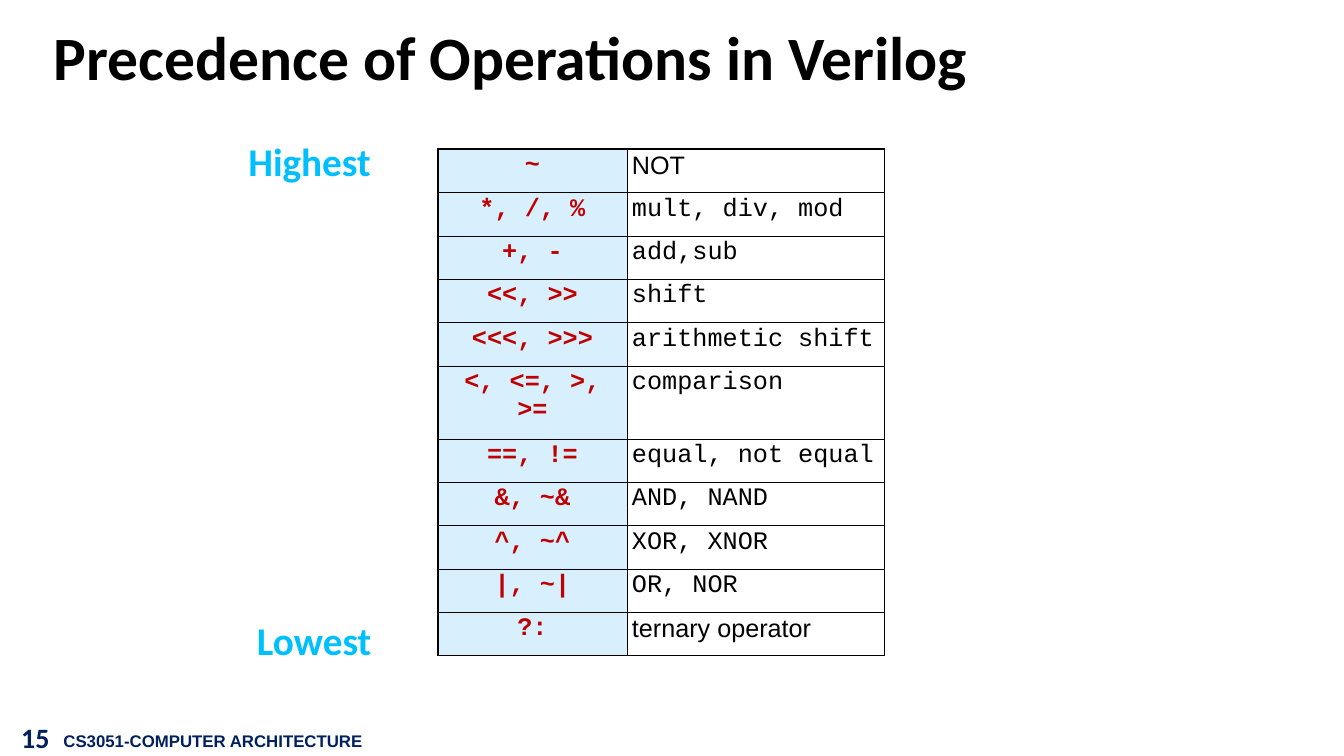
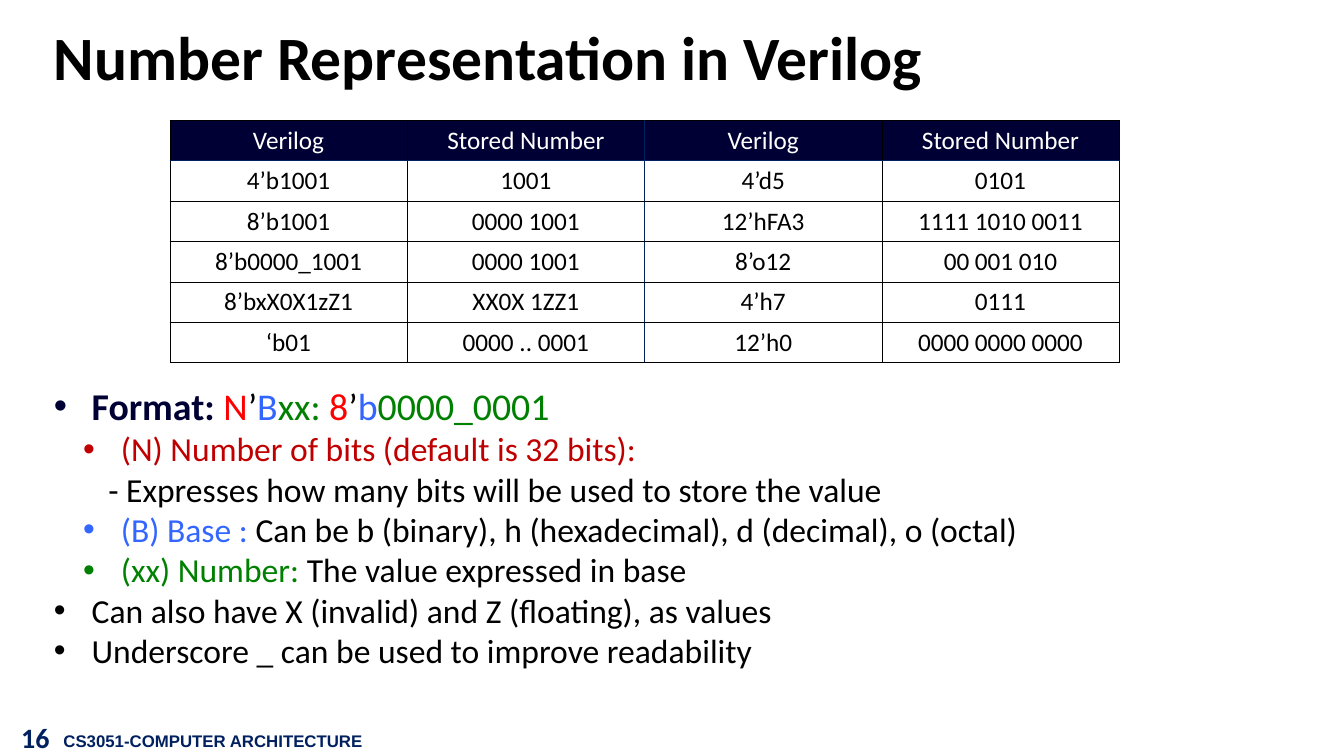
from pptx import Presentation
from pptx.dml.color import RGBColor
from pptx.enum.text import MSO_ANCHOR, PP_ALIGN
from pptx.oxml.ns import qn
from pptx.util import Inches, Pt
from lxml import etree

LEFT, MID, RIGHT = PP_ALIGN.LEFT, PP_ALIGN.CENTER, PP_ALIGN.RIGHT
TOP, CENTER = MSO_ANCHOR.TOP, MSO_ANCHOR.MIDDLE

BLACK, WHITE, NAVY, INK = "000000", "FFFFFF", "002060", "000034"
CRIMSON, RED, BLUE, GREEN = "C00000", "FF0000", "3366FF", "008000"
SKY, PALE = "00BFFF", "B8E5FE"
SANS, MONO, BODY = "Arial", "Courier New", "Calibri"

COURSE = "CS3051-COMPUTER ARCHITECTURE"

OPS = [
    ("~", "NOT", SANS),
    ("*, /, %", "mult, div, mod", MONO),
    ("+, -", "add,sub", MONO),
    ("<<, >>", "shift", MONO),
    ("<<<, >>>", "arithmetic shift", MONO),
    ("<, <=, >, >=", "comparison", MONO),
    ("==, !=", "equal, not equal", MONO),
    ("&, ~&", "AND, NAND", MONO),
    ("^, ~^", "XOR, XNOR", MONO),
    ("|, ~|", "OR, NOR", MONO),
    ("?:", "ternary operator", SANS),
]
TALL = "<, <=, >, >="
RANKS = [("Highest", 4.83, 2.67), ("Lowest", 5, 12.17)]

NUMBERS = [
    ("Verilog", "Stored Number", "Verilog", "Stored Number"),
    ("4’b1001", "1001", "4’d5", "0101"),
    ("8’b1001", "0000 1001", "12’hFA3", "1111 1010 0011"),
    ("8’b0000_1001", "0000 1001", "8’o12", "00 001 010"),
    ("8’bxX0X1zZ1", "XX0X 1ZZ1", "4’h7", "0111"),
    ("‘b01", "0000 .. 0001", "12’h0", "0000 0000 0000"),
]

FORMAT = [
    ("Format: ", INK, True), ("N", RED), ("’", BLACK), ("B", BLUE),
    ("xx: ", GREEN), ("8", RED), ("’", BLACK), ("b", BLUE),
    ("0000_0001", GREEN),
]
# level, margin, hanging, bullet colour, size, runs
NOTES = [
    (0, 0.75, 0.75, INK, 54, FORMAT),
    (1, 1.33, 0.75, CRIMSON, 48,
     [("(N) Number of bits (default is 32 bits):", CRIMSON)]),
    (4, 1.08, 0, None, 48,
     [("- Expresses how many bits will be used to store the value", BLACK)]),
    (1, 1.33, 0.75, BLUE, 48,
     [("(B) Base : ", BLUE),
      ("Can be b (binary), h (hexadecimal), d (decimal), o (octal)", BLACK)]),
    (1, 1.33, 0.75, GREEN, 48,
     [("(xx) Number: ", GREEN), ("The value expressed in base", BLACK)]),
    (1, 0.75, 0.75, BLACK, 48,
     [("Can also have X (invalid) and Z (floating), as values", BLACK)]),
    (1, 0.75, 0.75, BLACK, 48,
     [("Underscore _ can be used to improve readability", BLACK)]),
]


def rgb(code):
    return RGBColor.from_string(code)


def style(font, size, color, bold=False, face=BODY):
    font.size, font.bold, font.name = Pt(size), bold, face
    font.color.rgb = rgb(color)


def frame(slide, box, pad=0.1, anchor=TOP, wrap=True):
    text = slide.shapes.add_textbox(*map(Inches, box)).text_frame
    text.word_wrap, text.vertical_anchor = wrap, anchor
    text.margin_left = text.margin_right = Inches(0.1)
    text.margin_top = text.margin_bottom = Inches(pad)
    return text


def write(text, words, size, color, bold=True, face=BODY, align=LEFT):
    para = text.paragraphs[0]
    para.text, para.alignment = words, align
    style(para.font, size, color, bold, face)
    return para


def start(deck, title, number):
    slide = deck.slides.add_slide(deck.slide_layouts[6])
    write(frame(slide, (1.16, 14.45, 6.21, 0.5), 0.05, wrap=False),
          COURSE, 24, NAVY, face=SANS)
    head = write(frame(slide, (0.97, 0.24, 24.29, 1.94), anchor=CENTER),
                 title, 88, BLACK)
    head.line_spacing = 0.9
    write(frame(slide, (0.08, 14.18, 1, 0.88), anchor=CENTER),
          str(number), 40, NAVY, align=RIGHT)
    return slide


def grid(slide, left, top, cols, rows):
    size = left, top, sum(cols), sum(rows)
    table = slide.shapes.add_table(
        len(rows), len(cols), *map(Inches, size)).table
    table.first_row = table.horz_banding = False
    for col, width in zip(table.columns, cols):
        col.width = Inches(width)
    for row, height in zip(table.rows, rows):
        row.height = Inches(height)
    return table


def edge(cell, **sides):
    props = cell._tc.get_or_add_tcPr()
    for side in "LRTB":
        color, width = sides.get(side, (BLACK, 1))
        line = etree.SubElement(props, qn("a:ln" + side), w=str(Pt(width)))
        fill = etree.SubElement(line, qn("a:solidFill"))
        etree.SubElement(fill, qn("a:srgbClr"), val=color)


def paint(cell, color, alpha=None):
    if not color:
        cell.fill.background()
        return
    cell.fill.solid()
    cell.fill.fore_color.rgb = rgb(color)
    if alpha:
        tint = cell._tc.tcPr.find(qn("a:solidFill")).find(qn("a:srgbClr"))
        etree.SubElement(tint, qn("a:alpha"), val=str(alpha * 1000))


def inset(cell, side, end):
    cell.margin_left = cell.margin_right = Inches(side)
    cell.margin_top = cell.margin_bottom = Inches(end)


def bullet(para, margin, hang, color):
    props = para._p.get_or_add_pPr()
    props.set("marL", str(Inches(margin)))
    props.set("indent", str(-Inches(hang)))
    if not color:
        etree.SubElement(props, qn("a:buNone"))
        return
    tint = etree.SubElement(props, qn("a:buClr"))
    etree.SubElement(tint, qn("a:srgbClr"), val=color)
    etree.SubElement(props, qn("a:buFont"), typeface=SANS)
    etree.SubElement(props, qn("a:buChar"), char="•")


def order(deck):
    slide = start(deck, "Precedence of Operations in Verilog", 15)
    for word, left, top in RANKS:
        write(frame(slide, (left, top, 3.83, 1.04), 0.05), word, 56, SKY)
    rows = [1.45 if op[0] == TALL else 0.86 for op in OPS]
    table = grid(slide, 8.69, 2.96, (3.75, 5.11), rows)
    thick = BLACK, 2.25
    for r, (sign, name, face) in enumerate(OPS):
        ends = {}
        if r == 0:
            ends["T"] = thick
        if r == len(OPS) - 1:
            ends["B"] = thick
        mark, label = table.cell(r, 0), table.cell(r, 1)
        for cell, side in ((mark, "L"), (label, "R")):
            inset(cell, 0.1, 0.05)
            edge(cell, **ends, **{side: thick})
        paint(mark, PALE, 55)
        paint(label, None)
        write(mark.text_frame, sign, 36, CRIMSON, True, MONO, MID)
        write(label.text_frame, name, 36, BLACK, False, face)


def values(deck):
    slide = start(deck, "Number Representation in Verilog", 16)
    text = frame(slide, (0.97, 7.5, 24.29, 6.07))
    for i, (level, margin, hang, dot, size, runs) in enumerate(NOTES):
        para = text.add_paragraph() if i else text.paragraphs[0]
        para.level = level
        bullet(para, margin, hang, dot)
        para.font.size, para.font.name = Pt(size), BODY
        for words, color, *bold in runs:
            run = para.add_run()
            run.text = words
            run.font.color.rgb = rgb(color)
            run.font.bold = bool(bold)

    table = grid(slide, 3.37, 2.39, [4.71] * 4, [0.8] * len(NUMBERS))
    for r, row in enumerate(NUMBERS):
        for c, words in enumerate(row):
            cell, sides = table.cell(r, c), {}
            if r < 2:
                sides["TB"[r == 0]] = NAVY, 2.25
            if c in (1, 2):
                sides["RL"[c - 1]] = NAVY, 1
            edge(cell, **sides)
            inset(cell, 0.21, 0.1)
            paint(cell, None if r else INK)
            write(cell.text_frame, words, 36, BLACK if r else WHITE,
                  False, align=MID)


def main():
    deck = Presentation()
    deck.slide_width, deck.slide_height = Inches(26.67), Inches(15)
    order(deck)
    values(deck)
    deck.save("out.pptx")


if __name__ == "__main__":
    main()
